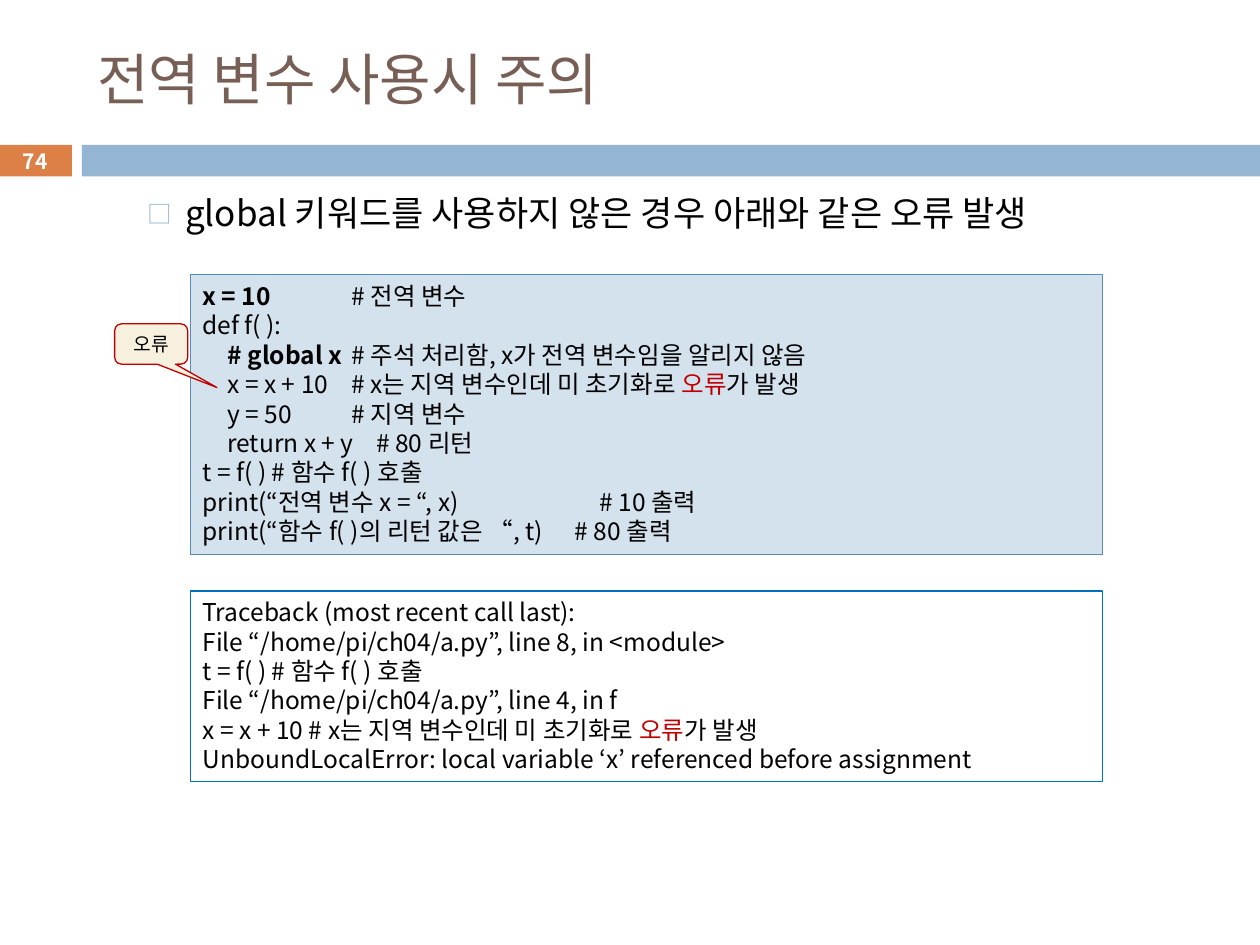
from lxml import etree
from pptx import Presentation
from pptx import util as u
from pptx.dml.color import RGBColor
from pptx.enum import shapes, text
from pptx.oxml.ns import qn

BLACK, WHITE, RED = "000000", "FFFFFF", "C00000"
BROWN, ORANGE, BLUE = "775F55", "DD8047", "94B6D2"
TAB_STEP = u.Cm(0.5)
TAB_COUNT = 16

ERROR_PARTS = [("오류", {"color": RED}), "가 발생"]
CODE = [
    [("x = 10 \t\t\t\t", {"bold": True}), "# 전역 변수"],
    ["def f( ):"],
    ["\t", ("# global x \t", {"bold": True}), "# 주석 처리함, x가 전역 변수임을 알리지 않음"],
    ["\tx = x + 10 \t# x는 지역 변수인데 미 초기화로 ", *ERROR_PARTS],
    ["\ty = 50 \t\t\t# 지역 변수"],
    ["\treturn x + y \t# 80 리턴"],
    ["t = f( ) # 함수 f( ) 호출"],
    ["print(“전역 변수 x = “, x)\t\t\t\t\t\t# 10 출력"],
    ["print(“함수 f( )의 리턴 값은 “, t) \t\t# 80 출력"],
]
TRACEBACK = [
    ["Traceback (most recent call last):"],
    ["File “/home/pi/ch04/a.py”, line 8, in <module>"],
    ["t = f( ) # 함수 f( ) 호출"],
    ["File “/home/pi/ch04/a.py”, line 4, in f"],
    ["x = x + 10 # x는 지역 변수인데 미 초기화로 ", *ERROR_PARTS],
    ["UnboundLocalError: local variable ‘x’ referenced before assignment"],
]


def rgb(value):
    return RGBColor.from_string(value)


def add_element(parent, tag, **attributes):
    return etree.SubElement(parent, qn(tag), {k: str(v) for k, v in attributes.items()})


class SlideBuilder:
    font_name = "Noto Sans CJK KR"

    def __init__(self, slide):
        self.slide = slide

    def style_run(self, run, size, color=BLACK, bold=False):
        run.font.size = u.Pt(size)
        run.font.bold = bold
        run.font.color.rgb = rgb(color)
        run.font.name = self.font_name
        add_element(run.font._element, "a:ea", typeface=self.font_name)

    def placeholder(self, index, box, content, size, color):
        shape = self.slide.placeholders[index]
        shape.left, shape.top, shape.width, shape.height = map(u.Inches, box)
        frame = shape.text_frame
        frame.text = content
        frame.auto_size = text.MSO_AUTO_SIZE.NONE
        paragraph = frame.paragraphs[0]
        paragraph.alignment = text.PP_ALIGN.LEFT
        paragraph.space_before = u.Pt(0)
        self.style_run(paragraph.runs[0], size, color)
        return shape

    def title(self, box, content):
        shape = self.placeholder(0, box, content, 32, BROWN)
        shape.text_frame.vertical_anchor = text.MSO_ANCHOR.MIDDLE

    def bullet(self, box, content):
        shape = self.placeholder(1, box, content, 20, BLACK)
        paragraph = shape.text_frame.paragraphs[0]
        paragraph.level = 1
        paragraph.line_spacing = u.Pt(24)
        properties = paragraph._p.get_or_add_pPr()
        properties.set("marL", str(u.Inches(0.7)))
        properties.set("indent", str(u.Inches(-0.3)))
        bullet_color = add_element(properties, "a:buClr")
        add_element(bullet_color, "a:srgbClr", val=BLUE)
        add_element(properties, "a:buSzPct", val=70000)
        add_element(properties, "a:buFont", typeface=self.font_name)
        add_element(properties, "a:buChar", char="□")

    def shape(self, box, fill, line=None, kind=shapes.MSO_SHAPE.RECTANGLE):
        shape = self.slide.shapes.add_shape(kind, *map(u.Inches, box))
        shape.shadow.inherit = False
        shape.fill.solid()
        shape.fill.fore_color.rgb = rgb(fill)
        if line:
            shape.line.color.rgb = rgb(line)
            shape.line.width = u.Pt(0.75)
        else:
            shape.line.fill.background()
        return shape

    def label(self, shape, content, size, color=BLACK, bold=False):
        """Centre one line of text in a shape."""
        frame = shape.text_frame
        frame.margin_left = frame.margin_right = 0
        frame.margin_top = frame.margin_bottom = 0
        frame.vertical_anchor = text.MSO_ANCHOR.MIDDLE
        frame.text = content
        paragraph = frame.paragraphs[0]
        paragraph.alignment = text.PP_ALIGN.CENTER
        self.style_run(paragraph.runs[0], size, color, bold)

    def listing(self, box, fill, line, lines):
        """Draw a box of code lines; a part is a string or a (string, style) pair."""
        frame = self.shape(box, fill, line).text_frame
        frame.word_wrap = True
        frame.vertical_anchor = text.MSO_ANCHOR.TOP
        for number, parts in enumerate(lines):
            paragraph = frame.add_paragraph() if number else frame.paragraphs[0]
            paragraph.alignment = text.PP_ALIGN.LEFT
            paragraph.line_spacing = u.Pt(16.8)
            tabs = add_element(paragraph._p.get_or_add_pPr(), "a:tabLst")
            for stop in range(1, TAB_COUNT + 1):
                add_element(tabs, "a:tab", pos=stop * TAB_STEP, algn="l")
            for part in parts:
                content, style = (part, {}) if isinstance(part, str) else part
                run = paragraph.add_run()
                run.text = content
                self.style_run(run, 14, **style)

    def callout(self, box, content, adjustments):
        shape = self.shape(box, "F7F0DE", RED, shapes.MSO_SHAPE.ROUNDED_RECTANGULAR_CALLOUT)
        for index, value in enumerate(adjustments):
            shape.adjustments[index] = value
        self.label(shape, content, 11)


def main():
    presentation = Presentation()
    presentation.slide_width = u.Inches(10)
    presentation.slide_height = u.Inches(7.5)
    builder = SlideBuilder(presentation.slides.add_slide(presentation.slide_layouts[1]))

    builder.title((0.67, 0.25, 8.92, 0.74), "전역 변수 사용시 주의")
    builder.bullet((0.67, 1.47, 8.92, 5.51),
                   "global 키워드를 사용하지 않은 경우 아래와 같은 오류 발생")
    page_box = builder.shape((-0.01, 1.15, 0.58, 0.25), ORANGE)
    builder.label(page_box, "74", 12, WHITE, bold=True)
    builder.shape((0.65, 1.15, 9.35, 0.25), BLUE)

    builder.listing((1.51, 2.18, 7.24, 2.22), "D4E2ED", "558BB8", CODE)
    builder.callout((0.91, 2.57, 0.58, 0.32), "오류", (0.9, 1.08, 0.17))
    builder.listing((1.51, 4.69, 7.24, 1.51), WHITE, "0070C0", TRACEBACK)

    presentation.save("out.pptx")


if __name__ == "__main__":
    main()
